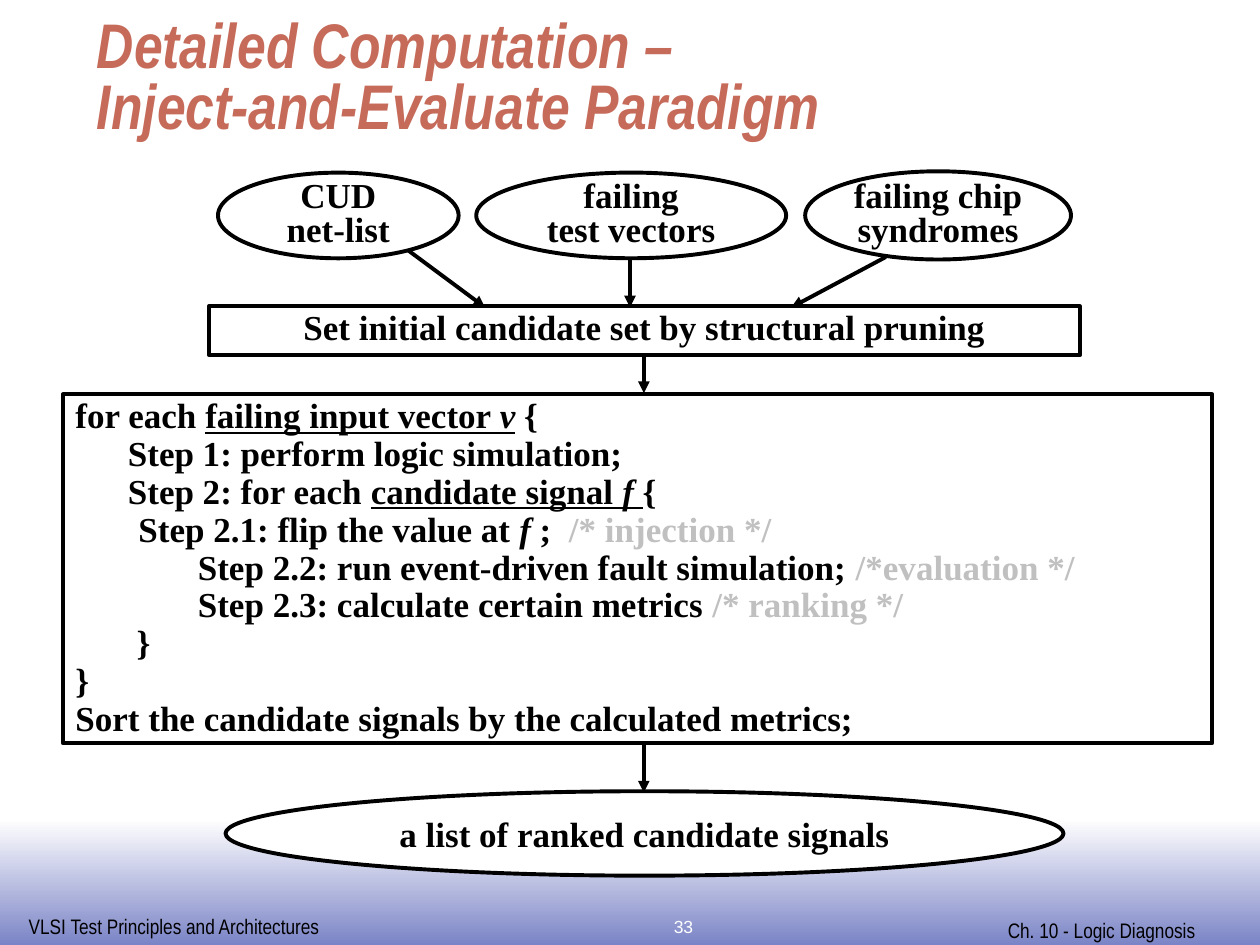
from dataclasses import dataclass

from lxml import etree
from pptx import Presentation
from pptx import util as u
from pptx.dml.color import RGBColor
from pptx.enum import shapes, text
from pptx.oxml.ns import qn


@dataclass(frozen=True)
class Theme:
    ink: str = "000000"
    paper: str = "FFFFFF"
    accent: str = "C66B5A"
    comment: str = "C0C0C0"
    footer_blue: str = "7B84C6"
    title_font: str = "Arial Narrow"
    body_font: str = "Times New Roman"
    number_font: str = "Arial"
    title_size: int = 36
    body_size: int = 20
    footer_size: int = 12
    number_size: int = 10
    line_width: float = 2.25


THEME = Theme()
LEFT, CENTER = text.PP_ALIGN.LEFT, text.PP_ALIGN.CENTER
TOP, MIDDLE, BOTTOM = text.MSO_ANCHOR.TOP, text.MSO_ANCHOR.MIDDLE, text.MSO_ANCHOR.BOTTOM
OVAL, BOX = shapes.MSO_SHAPE.OVAL, shapes.MSO_SHAPE.RECTANGLE

BODY = dict(name=THEME.body_font, size=THEME.body_size, bold=True, color=THEME.ink)
TITLE = dict(name=THEME.title_font, size=THEME.title_size, bold=True, italic=True,
             color=THEME.accent)
FOOTER = dict(name=THEME.title_font, size=THEME.footer_size, color=THEME.ink)
NUMBER = dict(name=THEME.number_font, size=THEME.number_size, color=THEME.paper)

# Run variations used in the pseudocode
UNDERLINED = dict(underline=True)
VARIABLE = dict(italic=True)
UNDERLINED_VARIABLE = dict(underline=True, italic=True)
COMMENT = dict(color=THEME.comment)

# Each line is a list of runs: plain strings or (string, variation) pairs
PSEUDOCODE = [
    ["for each ", ("failing input vector ", UNDERLINED), ("v", UNDERLINED_VARIABLE), " {"],
    ["      Step 1: perform logic simulation;"],
    ["      Step 2: for each ", ("candidate signal ", UNDERLINED),
     ("f", UNDERLINED_VARIABLE), (" ", UNDERLINED), "{"],
    ["\tStep 2.1: flip the value at ", ("f", VARIABLE), " ;  ", ("/* injection */", COMMENT)],
    ["              Step 2.2: run event-driven fault simulation; ",
     ("/*evaluation */", COMMENT)],
    ["              Step 2.3: calculate certain metrics ", ("/* ranking */", COMMENT)],
    ["       }"],
    ["}"],
    ["Sort the candidate signals by the calculated metrics;"],
]

# Ellipses: left, top, width, height, lines
INPUTS = [
    (1.73, 1.37, 1.91, 0.68, ["CUD", "net-list"]),
    (3.78, 1.37, 2.46, 0.68, ["failing", "test vectors"]),
    (6.39, 1.36, 2.11, 0.70, ["failing chip", "syndromes"]),
]

# Arrows: start x, start y, end x, end y
FLOW_X = 5.11
ARROWS = [
    (3.23, 1.98, 3.85, 2.44),
    (5, 2.06, 5, 2.44),
    (7.03, 2.04, 6.28, 2.44),
    (FLOW_X, 2.82, FLOW_X, 3.12),
    (FLOW_X, 5.91, FLOW_X, 6.29),
]


def format_font(font, values):
    for key, value in values.items():
        if key == "color":
            font.color.rgb = RGBColor.from_string(value)
        else:
            setattr(font, key, u.Pt(value) if key == "size" else value)


def write_lines(shape, lines, style, align=LEFT, anchor=TOP, spacing=1.0, wrap=True):
    frame = shape.text_frame
    frame.word_wrap = wrap
    frame.vertical_anchor = anchor
    for index, line in enumerate(lines):
        paragraph = frame.add_paragraph() if index else frame.paragraphs[0]
        paragraph.alignment = align
        paragraph.line_spacing = spacing
        for part in [line] if isinstance(line, str) else line:
            if part == "\n":
                paragraph.add_line_break()
                continue
            words, variation = (part, {}) if isinstance(part, str) else part
            run = paragraph.add_run()
            run.text = words
            format_font(run.font, {**style, **variation})


def add_label(slide, place, lines, style, **layout):
    shape = slide.shapes.add_textbox(*map(u.Inches, place))
    write_lines(shape, lines, style, **layout)


def add_node(slide, kind, place, lines, **layout):
    shape = slide.shapes.add_shape(kind, *map(u.Inches, place))
    shape.shadow.inherit = False
    shape.fill.solid()
    shape.fill.fore_color.rgb = RGBColor.from_string(THEME.paper)
    shape.line.color.rgb = RGBColor.from_string(THEME.ink)
    shape.line.width = u.Pt(THEME.line_width)
    write_lines(shape, lines, BODY, anchor=MIDDLE, **layout)


def add_arrow(slide, ends):
    connector = slide.shapes.add_connector(shapes.MSO_CONNECTOR.STRAIGHT, *map(u.Inches, ends))
    connector.line.color.rgb = RGBColor.from_string(THEME.ink)
    connector.line.width = u.Pt(THEME.line_width)
    properties = connector.line._get_or_add_ln()
    etree.SubElement(properties, qn("a:tailEnd"), type="triangle")
    etree.SubElement(properties.getparent(), qn("a:effectLst"))


def add_footer_band(slide):
    band = slide.shapes.add_shape(BOX, *map(u.Inches, (0, 6.5, 10, 1)))
    band.shadow.inherit = False
    band.line.fill.background()
    band.fill.gradient()
    band.fill.gradient_angle = 270
    for stop, color in zip(band.fill.gradient_stops, (THEME.paper, THEME.footer_blue)):
        stop.color.rgb = RGBColor.from_string(color)


def main():
    presentation = Presentation()
    presentation.slide_width, presentation.slide_height = u.Inches(10), u.Inches(7.5)
    slide = presentation.slides.add_slide(presentation.slide_layouts[6])

    # Footer
    add_footer_band(slide)
    add_label(slide, (0.13, 7.2, 2.53, 0.3), ["VLSI Test Principles and Architectures"], FOOTER)
    add_label(slide, (7.9, 7.23, 1.96, 0.3), ["Ch. 10 - Logic Diagnosis"], FOOTER)
    add_label(slide, (4.26, 7.22, 2.33, 0.28), ["33"], NUMBER, align=CENTER)

    # Title
    add_label(slide, (0.67, 0.17, 9, 1),
              [["Detailed Computation –", "\n", "Inject-and-Evaluate Paradigm"]],
              TITLE, anchor=BOTTOM, spacing=0.8)

    # Flow: arrows lie behind the nodes
    for ends in ARROWS:
        add_arrow(slide, ends)
    for *place, lines in INPUTS:
        add_node(slide, OVAL, place, lines, align=CENTER, spacing=0.8, wrap=False)
    add_node(slide, BOX, (1.66, 2.43, 6.91, 0.39),
             ["Set initial candidate set by structural pruning"], align=CENTER, spacing=0.8)
    add_node(slide, OVAL, (1.79, 6.28, 6.65, 0.67),
             ["a list of ranked candidate signals"], align=CENTER, wrap=False)
    add_node(slide, BOX, (0.5, 3.13, 9.12, 2.77), PSEUDOCODE, spacing=0.9)

    presentation.save("out.pptx")


if __name__ == "__main__":
    main()
